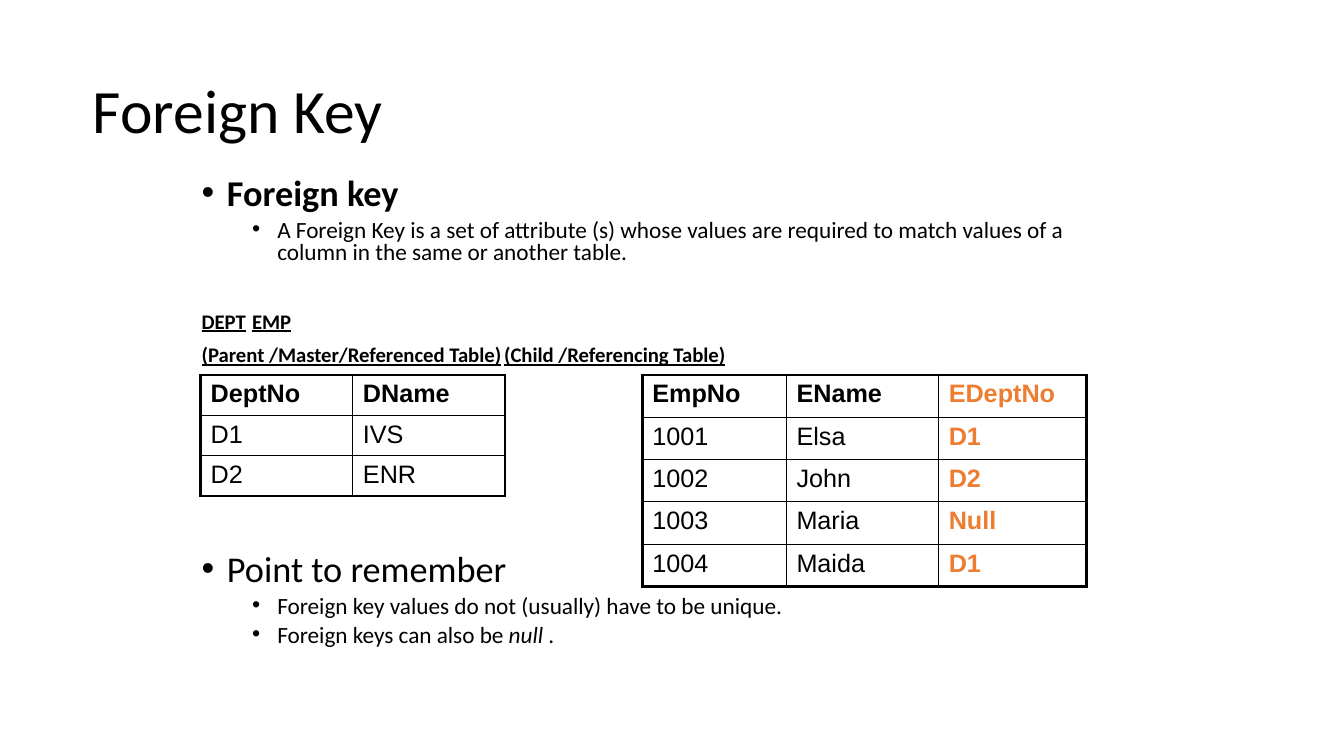
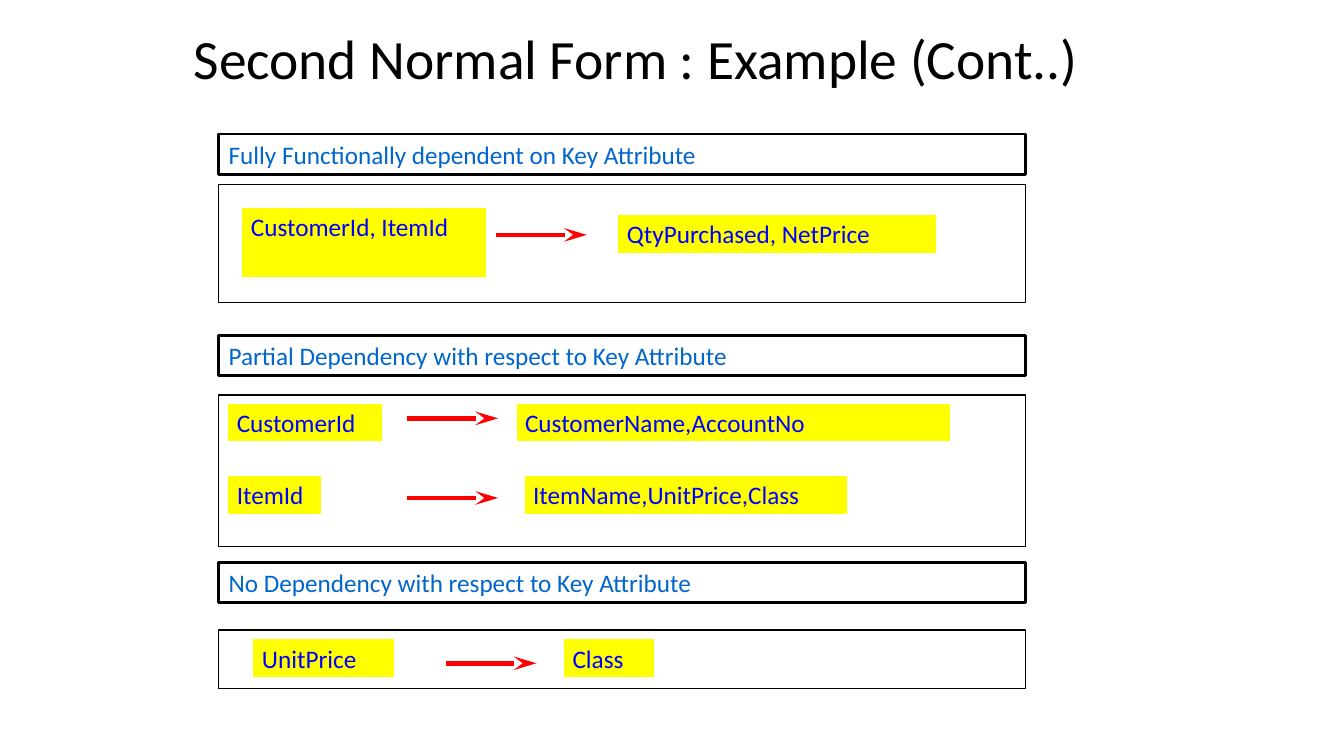
from lxml import etree
from pptx import Presentation
from pptx import util as u
from pptx.dml.color import RGBColor
from pptx.enum import shapes, text
from pptx.oxml.ns import qn

BLACK = RGBColor(0x00, 0x00, 0x00)
WHITE = RGBColor(0xFF, 0xFF, 0xFF)
ORANGE = RGBColor(0xED, 0x7D, 0x31)
HEADING_BLUE = RGBColor(0x00, 0x66, 0xCC)
CHIP_BLUE = RGBColor(0x00, 0x00, 0xFF)
YELLOW = RGBColor(0xFF, 0xFF, 0x00)
RED = RGBColor(0xFF, 0x00, 0x00)

BODY_FONT = "Calibri"
TABLE_FONT = "Arial"
THICK, THIN = 2.25, 1
LAYOUT_CONTENT, LAYOUT_TITLE = 1, 5


def add_text(paragraph, content, size=18, color=BLACK, font=BODY_FONT,
             bold=False, italic=False, underline=False):
    """Append one formatted run to a paragraph."""
    run = paragraph.add_run()
    run.text = content
    run.font.size = u.Pt(size)
    run.font.name = font
    run.font.color.rgb = color
    run.font.bold = bold
    run.font.italic = italic
    run.font.underline = underline


def inches(box):
    """Turn a box of plain numbers into lengths."""
    return [u.Inches(value) for value in box]


def place(shape, box):
    """Move and size a shape to a box."""
    shape.left, shape.top, shape.width, shape.height = inches(box)


def set_frame(frame, left=0.1, top=0.05, anchor=text.MSO_ANCHOR.TOP):
    """Set the margins, wrapping and anchor of a text frame."""
    frame.margin_left, frame.margin_top = u.Inches(left), u.Inches(top)
    frame.margin_right, frame.margin_bottom = u.Inches(0.1), u.Inches(0.05)
    frame.word_wrap = True
    frame.auto_size = text.MSO_AUTO_SIZE.NONE
    frame.vertical_anchor = anchor


def add_titled_slide(presentation, layout, title, box, size):
    """Add a slide with its title placed in the box."""
    slide = presentation.slides.add_slide(presentation.slide_layouts[layout])
    shape = slide.shapes.title
    place(shape, box)
    set_frame(shape.text_frame, left=0, anchor=text.MSO_ANCHOR.MIDDLE)
    paragraph = shape.text_frame.paragraphs[0]
    paragraph.alignment = text.PP_ALIGN.LEFT
    paragraph.line_spacing = 0.9
    add_text(paragraph, title, size=size)
    return slide


def format_paragraph(paragraph, level=0, before=0, margin=0, bullet=True, tab=None):
    """Set the spacing, hanging bullet and tab stop of a list paragraph."""
    paragraph.level = level
    paragraph.alignment = text.PP_ALIGN.LEFT
    paragraph.line_spacing = 0.8
    paragraph.space_before = u.Pt(before)
    paragraph.space_after = u.Pt(0)
    properties = paragraph._p.get_or_add_pPr()
    properties.set("marL", str(u.Inches(margin)))
    properties.set("indent", str(u.Inches(-0.25 if bullet else 0)))
    if bullet:
        etree.SubElement(properties, qn("a:buFont"), typeface="Arial")
        etree.SubElement(properties, qn("a:buChar"), char="•")
    else:
        etree.SubElement(properties, qn("a:buNone"))
    if tab:
        stops = etree.SubElement(properties, qn("a:tabLst"))
        etree.SubElement(stops, qn("a:tab"), pos=str(u.Inches(tab)), algn="l")


def add_key_notes(slide, box):
    """Fill the body with the notes and the captions above both tables."""
    body = slide.placeholders[1]
    place(body, box)
    frame = body.text_frame
    set_frame(frame, left=0, top=0.44)
    topic = dict(margin=0.25)
    detail = dict(level=1, before=5, margin=0.75)
    large, small = dict(size=25.9), dict(size=16.6)
    caption = dict(size=14.8, bold=True, underline=True)
    gap = dict(size=14.8)
    notes = [
        (topic, [("Foreign key", dict(large, bold=True))]),
        (detail, [("A Foreign Key is a set of attribute (s) whose values are required "
                   "to match values of a column in the same or another table. ", small)]),
        (dict(before=34.5, bullet=False, tab=5.25),
         [("DEPT", caption), ("\t", gap), ("EMP", caption)]),
        (dict(before=10, bullet=False, tab=4.25),
         [("(Parent /Master/Referenced Table)", caption), ("\t", gap),
          ("(Child /Referencing Table)", caption)]),
        (dict(topic, before=134), [("Point to remember", large)]),
        (detail, [("Foreign key values do not (usually) have to be unique.", small)]),
        (detail, [("Foreign keys can also be ", small),
                  ("null", dict(small, italic=True)), (" .", small)]),
    ]
    for index, (layout, runs) in enumerate(notes):
        paragraph = frame.add_paragraph() if index else frame.paragraphs[0]
        format_paragraph(paragraph, **layout)
        for content, style in runs:
            add_text(paragraph, content, **style)


def set_borders(cell, widths):
    """Draw black cell borders, given widths for left, right, top, bottom."""
    properties = cell._tc.get_or_add_tcPr()
    for index, (side, width) in enumerate(zip("LRTB", widths)):
        line = etree.Element(qn(f"a:ln{side}"), w=str(u.Pt(width)))
        fill = etree.SubElement(line, qn("a:solidFill"))
        etree.SubElement(fill, qn("a:srgbClr"), val=str(BLACK))
        properties.insert(index, line)


def add_data_table(slide, left, top, column_widths, row_height, rows, key_column=None):
    """Add a table with a thick outline and an optional orange key column."""
    last_row, last_column = len(rows) - 1, len(column_widths) - 1
    box = inches((left, top, sum(column_widths), row_height * len(rows)))
    table = slide.shapes.add_table(len(rows), len(column_widths), *box).table
    table.first_row = table.horz_banding = False
    for column, width in zip(table.columns, column_widths):
        column.width = u.Inches(width)
    for r, values in enumerate(rows):
        table.rows[r].height = u.Inches(row_height)
        for c, value in enumerate(values):
            cell = table.cell(r, c)
            cell.fill.background()
            edges = (c == 0, c == last_column, r == 0, r == last_row)
            set_borders(cell, [THICK if edge else THIN for edge in edges])
            is_key = c == key_column
            add_text(cell.text_frame.paragraphs[0], value, font=TABLE_FONT,
                     bold=r == 0 or is_key, color=ORANGE if is_key else BLACK)


def add_box(slide, box, content="", fill=None, line=BLACK, width=1, color=BLACK):
    """Add an outlined rectangle with left-aligned text."""
    shape = slide.shapes.add_shape(shapes.MSO_SHAPE.RECTANGLE, *inches(box))
    shape.shadow.inherit = False
    if fill is None:
        shape.fill.background()
    else:
        shape.fill.solid()
        shape.fill.fore_color.rgb = fill
    shape.line.color.rgb = line
    shape.line.width = u.Pt(width)
    if content:
        set_frame(shape.text_frame)
        paragraph = shape.text_frame.paragraphs[0]
        paragraph.alignment = text.PP_ALIGN.LEFT
        add_text(paragraph, content, color=color)


def add_arrow(slide, left, y, length=0.9):
    """Add a red arrow pointing right."""
    arrow = slide.shapes.add_connector(
        shapes.MSO_CONNECTOR.STRAIGHT, *inches((left, y, left + length, y)))
    arrow.line.color.rgb = RED
    arrow.line.width = u.Pt(3.25)
    properties = arrow._element.spPr
    etree.SubElement(arrow.line._get_or_add_ln(), qn("a:tailEnd"),
                     type="stealth", w="med", len="lg")
    etree.SubElement(properties, qn("a:effectLst"))


def add_dependency_section(slide, heading, heading_top, box, chips, arrows):
    """Add a heading and a framed panel; chips and arrows are offset from the panel."""
    left, top, width, _ = box
    add_box(slide, (left, heading_top, width, 0.4), heading, width=2, color=HEADING_BLUE)
    add_box(slide, box, fill=WHITE)
    for content, x, y, chip_width, chip_height in chips:
        add_box(slide, (left + x, top + y, chip_width, chip_height), content,
                fill=YELLOW, line=WHITE, width=2, color=CHIP_BLUE)
    for x, y in arrows:
        add_arrow(slide, left + x, top + y)


def build_foreign_key(presentation):
    """Build the slide on foreign keys."""
    slide = add_titled_slide(presentation, LAYOUT_CONTENT, "Foreign Key",
                             (0.92, 0.4, 11.5, 1.45), 44)
    add_key_notes(slide, (2, 1.33, 9.33, 5.42))
    add_data_table(slide, 1.99, 3.72, (1.51, 1.51), 0.4,
                   [("DeptNo", "DName"), ("D1", "IVS"), ("D2", "ENR")])
    add_data_table(slide, 6.37, 3.72, (1.43, 1.51, 1.47), 0.42,
                   [("EmpNo", "EName", "EDeptNo"),
                    ("1001", "Elsa", "D1"),
                    ("1002", "John", "D2"),
                    ("1003", "Maria", "Null"),
                    ("1004", "Maida", "D1")], key_column=2)


def build_second_normal_form(presentation):
    """Build the slide on the three kinds of dependency."""
    slide = add_titled_slide(presentation, LAYOUT_TITLE,
                             "Second Normal Form : Example (Cont..)",
                             (1.92, 0.33, 9.38, 0.56), 39.6)
    left, width = 2.17, 8
    add_dependency_section(
        slide, "Fully Functionally dependent on Key Attribute", 1.33,
        (left, 1.83, width, 1.17),
        [("CustomerId, ItemId", 0.22, 0.22, 2.44, 0.71),
         ("QtyPurchased, NetPrice", 3.95, 0.29, 3.18, 0.4)],
        [(2.75, 0.5)])
    add_dependency_section(
        slide, "Partial Dependency with respect to Key Attribute", 3.33,
        (left, 3.92, width, 1.5),
        [("CustomerId", 0.08, 0.07, 1.55, 0.4),
         ("CustomerName,AccountNo", 2.94, 0.07, 4.33, 0.4),
         ("ItemId", 0.08, 0.79, 0.95, 0.4),
         ("ItemName,UnitPrice,Class", 3.02, 0.79, 3.23, 0.4)],
        [(1.87, 0.23), (1.87, 1.02)])
    add_dependency_section(
        slide, "No Dependency with respect to Key Attribute", 5.58,
        (left, 6.25, width, 0.58),
        [("UnitPrice", 0.33, 0.08, 1.42, 0.4),
         ("Class", 3.41, 0.08, 0.92, 0.4)],
        [(2.25, 0.33)])


def main():
    """Build and save the presentation."""
    presentation = Presentation()
    presentation.slide_width = u.Inches(13.33)
    presentation.slide_height = u.Inches(7.5)
    build_foreign_key(presentation)
    build_second_normal_form(presentation)
    presentation.save("out.pptx")


main()
